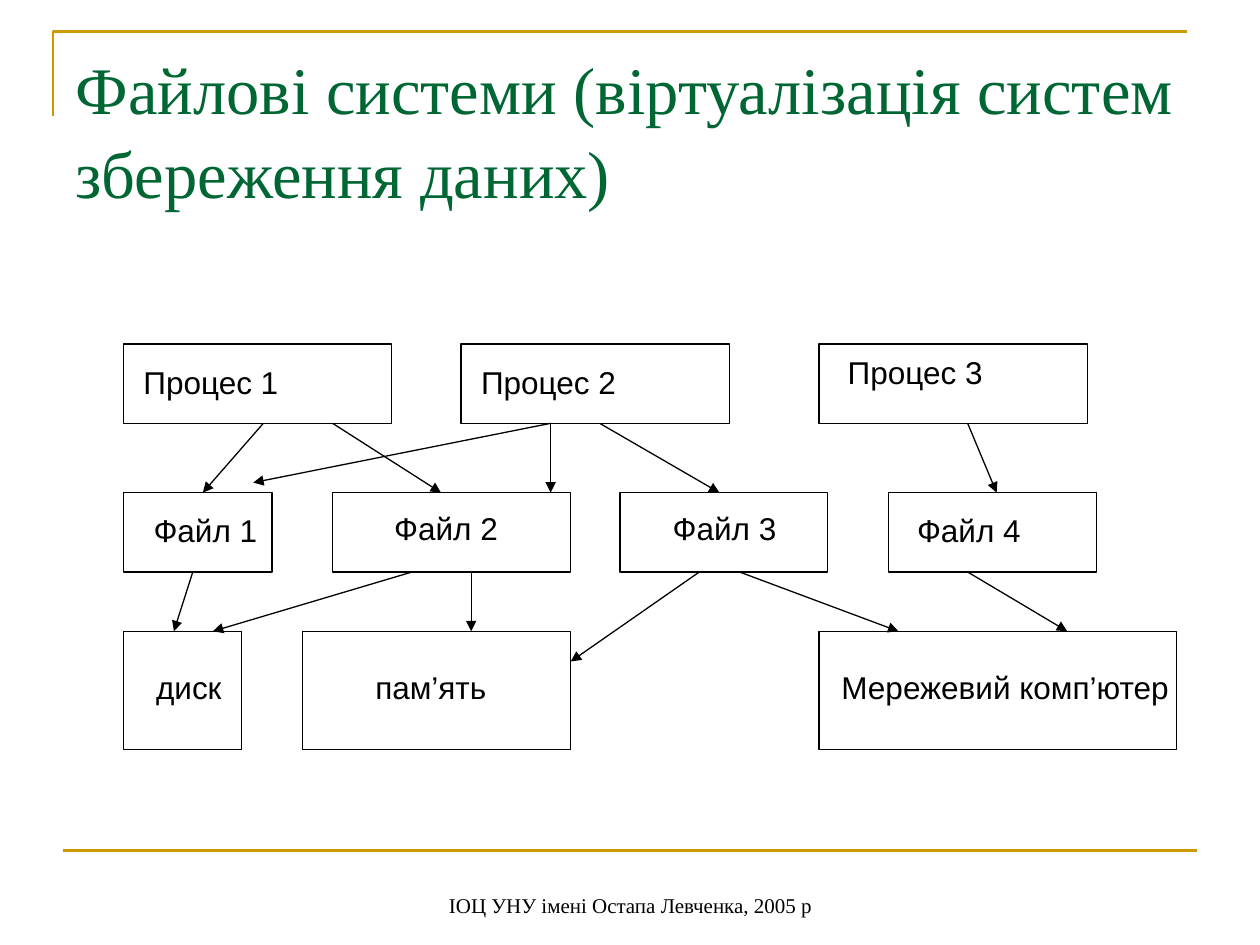
"""Builds a slide on file systems as a layer between processes and storage."""
from lxml import etree
from pptx import Presentation
from pptx.dml.color import RGBColor
from pptx.enum import shapes, text
from pptx.oxml.ns import qn
from pptx.util import Inches, Pt

BLACK = RGBColor(0x00, 0x00, 0x00)
GREEN = RGBColor(0x00, 0x66, 0x33)
GOLD = RGBColor(0xCC, 0x99, 0x00)


def add_text(page, left, top, width, height, wording, font, size):
    box = page.shapes.add_textbox(Inches(left), Inches(top), Inches(width), Inches(height))
    box.text_frame.text = wording
    span = box.text_frame.paragraphs[0].runs[0]
    span.font.name, span.font.size = font, Pt(size)
    span.font.color.rgb = BLACK
    return box


def add_line(page, start, end, color, width):
    line = page.shapes.add_connector(
        shapes.MSO_CONNECTOR.STRAIGHT, *[Inches(value) for value in start + end])
    line.line.color.rgb, line.line.width = color, Pt(width)
    etree.SubElement(line._element.spPr, qn("a:effectLst"))
    return line


deck = Presentation()
deck.slide_width, deck.slide_height = Inches(10), Inches(7.5)
page = deck.slides.add_slide(deck.slide_layouts[5])

builder = page.shapes.build_freeform(Inches(0.42), Inches(0.92))
builder.add_line_segments(
    [(Inches(0.42), Inches(0.25)), (Inches(9.42), Inches(0.25))], close=False)
corner = builder.convert_to_shape()
corner.shadow.inherit = False
corner.fill.background()
corner.line.color.rgb, corner.line.width = GOLD, Pt(1.5)
add_line(page, (0.5, 6.75), (9.5, 6.75), GOLD, 1.5)

title = page.shapes.title
title.left, title.top, title.width, title.height = (
    Inches(value) for value in (0.5, 0.3, 9, 1.25))
title.text_frame.text = "Файлові системи (віртуалізація систем збереження даних)"
title.text_frame.word_wrap = True
title.text_frame.auto_size = text.MSO_AUTO_SIZE.NONE
title.text_frame.vertical_anchor = text.MSO_ANCHOR.TOP
para = title.text_frame.paragraphs[0]
para.alignment = text.PP_ALIGN.LEFT
para.line_spacing = 1.05
span = para.runs[0]
span.font.name, span.font.size = "Times New Roman", Pt(38)
span.font.color.rgb = GREEN

PROCESS_TOP, FILE_TOP, STORE_TOP = 2.73, 3.91, 5.01
PROCESS_BOTTOM, FILE_BOTTOM = PROCESS_TOP + 0.63, FILE_TOP + 0.63
rows = [
    (PROCESS_TOP, 0.63, [
        (0.98, 2.13, "Процес 1", 1.04, 2.83, 1.27),
        (3.66, 2.13, "Процес 2", 3.72, 2.83, 1.27),
        (6.5, 2.13, "Процес 3", 6.63, 2.75, 1.27),
    ]),
    (FILE_TOP, 0.63, [
        (0.98, 1.18, "Файл 1", 1.12, 4.01, 1.02),
        (2.64, 1.89, "Файл 2", 3.03, 3.99, 1.02),
        (4.92, 1.65, "Файл 3", 5.24, 3.99, 1.02),
        (7.05, 1.65, "Файл 4", 7.18, 4.01, 1.02),
    ]),
    (STORE_TOP, 0.94, [
        (0.98, 0.94, "диск", 1.14, 5.25, 0.72),
        (2.4, 2.13, "пам’ять", 2.88, 5.25, 1.08),
        (6.5, 2.84, "Мережевий комп’ютер", 6.58, 5.25, 2.8),
    ]),
]
for top, height, cells in rows:
    for left, width, wording, label_left, label_top, label_width in cells:
        box = page.shapes.add_shape(
            shapes.MSO_SHAPE.RECTANGLE,
            Inches(left), Inches(top), Inches(width), Inches(height))
        box.shadow.inherit = False
        box.fill.background()
        box.line.color.rgb, box.line.width = BLACK, Pt(0.75)
        label = add_text(page, label_left, label_top, label_width, 0.4, wording, "Arial", 18)
        label.text_frame.word_wrap = False
        label.text_frame.auto_size = text.MSO_AUTO_SIZE.SHAPE_TO_FIT_TEXT

arrows = [
    (PROCESS_BOTTOM, [
        (2.09, 1.61, FILE_TOP), (2.64, 3.5, FILE_TOP), (4.37, 2.01, 3.83),
        (4.37, 4.37, FILE_TOP), (4.76, 5.71, FILE_TOP), (7.68, 7.91, FILE_TOP),
    ]),
    (FILE_BOTTOM, [
        (1.53, 1.38, STORE_TOP), (3.27, 1.69, STORE_TOP), (3.74, 3.74, STORE_TOP),
        (5.55, 4.53, 5.25), (5.87, 7.13, STORE_TOP), (7.68, 8.47, STORE_TOP),
    ]),
]
for start_y, links in arrows:
    for start_x, end_x, end_y in links:
        arrow = add_line(page, (start_x, start_y), (end_x, end_y), BLACK, 0.75)
        etree.SubElement(arrow.line._get_or_add_ln(), qn("a:tailEnd"), type="triangle")

footer = add_text(page, 3.42, 6.83, 3.17, 0.5,
                  "ІОЦ УНУ імені Остапа Левченка, 2005 р", "Times New Roman", 12)
footer.text_frame.word_wrap = True
footer.text_frame.vertical_anchor = text.MSO_ANCHOR.BOTTOM
footer.text_frame.paragraphs[0].alignment = text.PP_ALIGN.CENTER

deck.save("out.pptx")
